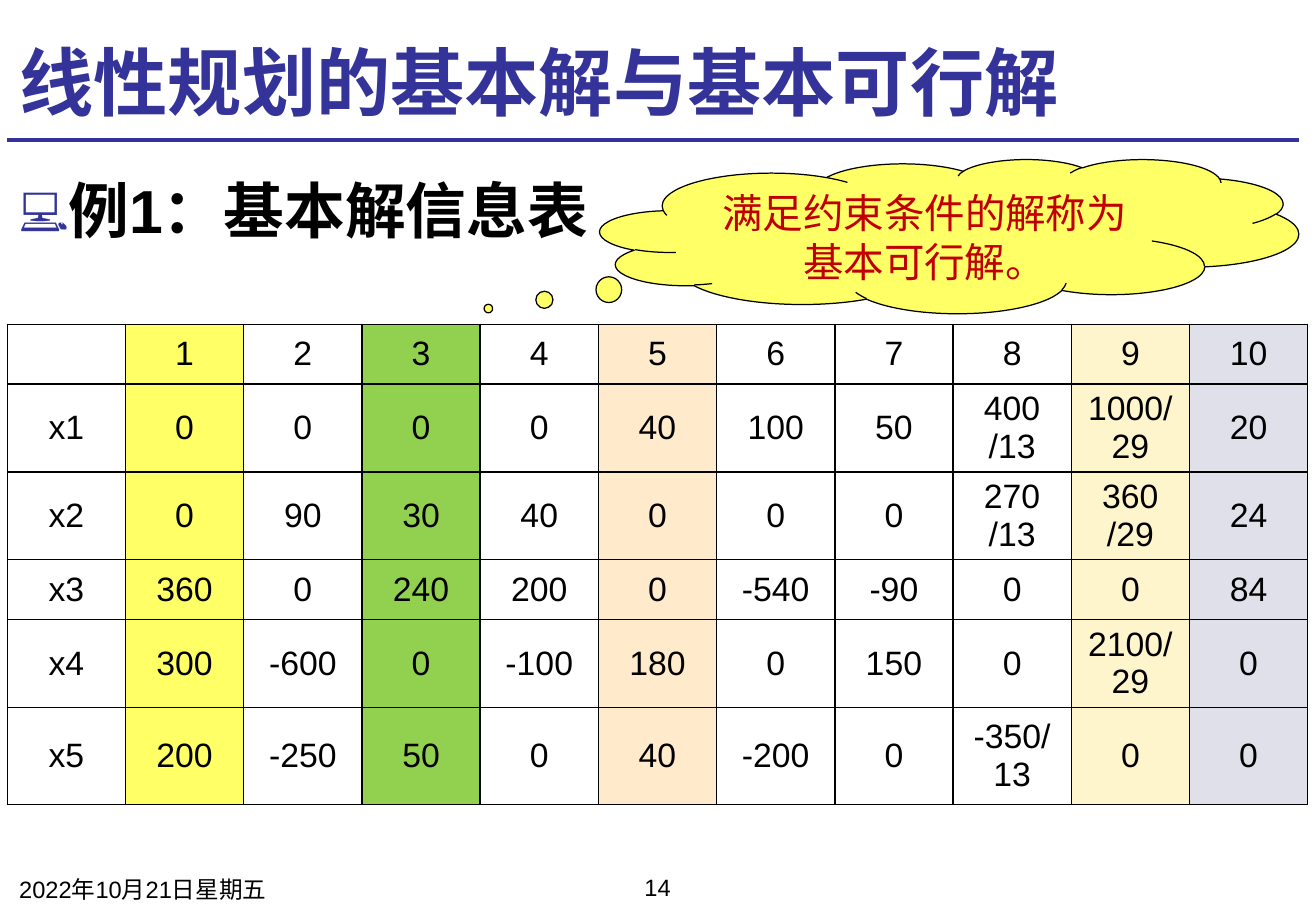
from lxml import etree
from pptx import Presentation
from pptx.dml.color import RGBColor
from pptx.enum.shapes import MSO_CONNECTOR, MSO_SHAPE
from pptx.enum.text import MSO_ANCHOR, MSO_AUTO_SIZE, PP_ALIGN
from pptx.oxml.ns import qn
from pptx.util import Pt

LEFT, MID = PP_ALIGN.LEFT, PP_ALIGN.CENTER
TOP, CENTER, BOTTOM = MSO_ANCHOR.TOP, MSO_ANCHOR.MIDDLE, MSO_ANCHOR.BOTTOM
FIXED = MSO_AUTO_SIZE.NONE
LINE, CLOUD = MSO_CONNECTOR.STRAIGHT, MSO_SHAPE.CLOUD_CALLOUT

BLUE = RGBColor(0x33, 0x33, 0x99)
BLACK = RGBColor(0, 0, 0)
RED = RGBColor(0xC0, 0, 0)
YELLOW = RGBColor(0xFF, 0xFF, 0x66)
GREEN = RGBColor(0x92, 0xD0, 0x50)
PEACH = RGBColor(0xFF, 0xEB, 0xCC)
CREAM = RGBColor(0xFF, 0xF5, 0xCC)
LILAC = RGBColor(0xE0, 0xE0, 0xEB)

FILLS = {1: YELLOW, 3: GREEN, 5: PEACH, 9: CREAM, 10: LILAC}
COL = 70.1
TALLS = [35.5, 52, 52, 35.5, 52, 57.6]
ROWS = [
    ["", "1", "2", "3", "4", "5", "6", "7", "8", "9", "10"],
    ["x1", "0", "0", "0", "0", "40", "100", "50", "400\n/13", "1000/29", "20"],
    ["x2", "0", "90", "30", "40", "0", "0", "0", "270\n/13", "360\n/29", "24"],
    ["x3", "360", "0", "240", "200", "0", "-540", "-90", "0", "0", "84"],
    ["x4", "300", "-600", "0", "-100", "180", "0", "150", "0", "2100/29", "0"],
    ["x5", "200", "-250", "50", "0", "40", "-200", "0", "-350/13", "0", "0"],
]


def assign(item, **vals):
    for name, val in vals.items():
        setattr(item, name, val)


def write(frame, text, size, color=BLACK, bold=False, align=LEFT):
    frame.text = text
    for para in frame.paragraphs:
        assign(para, alignment=align, space_before=Pt(0))
        for run in para.runs:
            assign(run.font, name="Arial", size=Pt(size), bold=bold)
            run.font.color.rgb = color


def place(shape, left, top, width, height):
    assign(shape, left=Pt(left), top=Pt(top), width=Pt(width), height=Pt(height))


def add_head(slide, text):
    title = slide.shapes.title
    place(title, 4.3, 15.1, 765.4, 62.6)
    write(title.text_frame, text, 44, BLUE, True)
    assign(title.text_frame, vertical_anchor=BOTTOM, auto_size=FIXED)


def add_rule(slide):
    rule = slide.shapes.add_connector(LINE, Pt(4.3), Pt(82.8), Pt(769.7), Pt(82.8))
    rule.line.color.rgb = BLUE
    rule.line.width = Pt(2.25)
    etree.SubElement(rule.element.spPr, qn("a:effectLst"))


def add_list(slide, text):
    body = slide.placeholders[1]
    place(body, 4.3, 94.3, 765.4, 414.7)
    write(body.text_frame, text, 36, BLACK, True)
    assign(body.text_frame, vertical_anchor=TOP, auto_size=FIXED)
    para = body.text_frame.paragraphs[0]
    para.line_spacing = 1.1
    props = para._p.get_or_add_pPr()
    assign_marks = {"marL": Pt(27), "indent": Pt(-27)}
    for name, val in assign_marks.items():
        props.set(name, str(val))
    tint = etree.SubElement(props, qn("a:buClr"))
    etree.SubElement(tint, qn("a:srgbClr"), val=str(BLUE))
    etree.SubElement(props, qn("a:buSzPct"), val="75000")
    etree.SubElement(props, qn("a:buChar"), char="💻")


def add_note(slide, text, left, top, align):
    box = slide.shapes.add_textbox(Pt(left), Pt(top), Pt(182), Pt(21.6))
    box.text_frame.word_wrap = True
    write(box.text_frame, text, 14, align=align)


def add_edges(cell):
    props = cell._tc.get_or_add_tcPr()
    for spot, side in enumerate(("lnL", "lnR", "lnT", "lnB")):
        edge = etree.Element(qn("a:" + side), w=str(Pt(1)))
        fill = etree.SubElement(edge, qn("a:solidFill"))
        etree.SubElement(fill, qn("a:srgbClr"), val=str(BLACK))
        props.insert(spot, edge)


def add_grid(slide):
    frame = slide.shapes.add_table(
        len(ROWS), len(ROWS[0]), Pt(4.3), Pt(192.2),
        Pt(COL * len(ROWS[0])), Pt(sum(TALLS)))
    grid = frame.table
    assign(grid, first_row=False, horz_banding=False)
    for col in grid.columns:
        col.width = Pt(COL)
    for r, (row, tall) in enumerate(zip(ROWS, TALLS)):
        grid.rows[r].height = Pt(tall)
        for c, text in enumerate(row):
            cell = grid.cell(r, c)
            assign(cell, vertical_anchor=CENTER, margin_top=Pt(2), margin_bottom=Pt(2))
            write(cell.text_frame, text, 20, align=MID)
            if c in FILLS:
                cell.fill.solid()
                cell.fill.fore_color.rgb = FILLS[c]
            else:
                cell.fill.background()
            add_edges(cell)


def add_cloud(slide, text):
    cloud = slide.shapes.add_shape(CLOUD, Pt(355.7), Pt(94.3), Pt(414), Pt(91.4))
    cloud.adjustments[0] = -0.66
    cloud.adjustments[1] = 0.47
    cloud.shadow.inherit = False
    cloud.fill.solid()
    cloud.fill.fore_color.rgb = YELLOW
    cloud.line.color.rgb = BLACK
    cloud.line.width = Pt(0.75)
    assign(cloud.text_frame, word_wrap=True, vertical_anchor=TOP)
    write(cloud.text_frame, text, 24, RED, align=MID)


def main():
    deck = Presentation()
    assign(deck, slide_width=Pt(780), slide_height=Pt(540))
    slide = deck.slides.add_slide(deck.slide_layouts[1])
    add_rule(slide)
    add_head(slide, "线性规划的基本解与基本可行解")
    add_list(slide, "例1：基本解信息表")
    add_note(slide, "2022年10月21日星期五", 4.3, 514.8, LEFT)
    add_note(slide, "14", 298.8, 514.1, MID)
    add_grid(slide)
    add_cloud(slide, "满足约束条件的解称为基本可行解。")
    deck.save("out.pptx")


if __name__ == "__main__":
    main()
